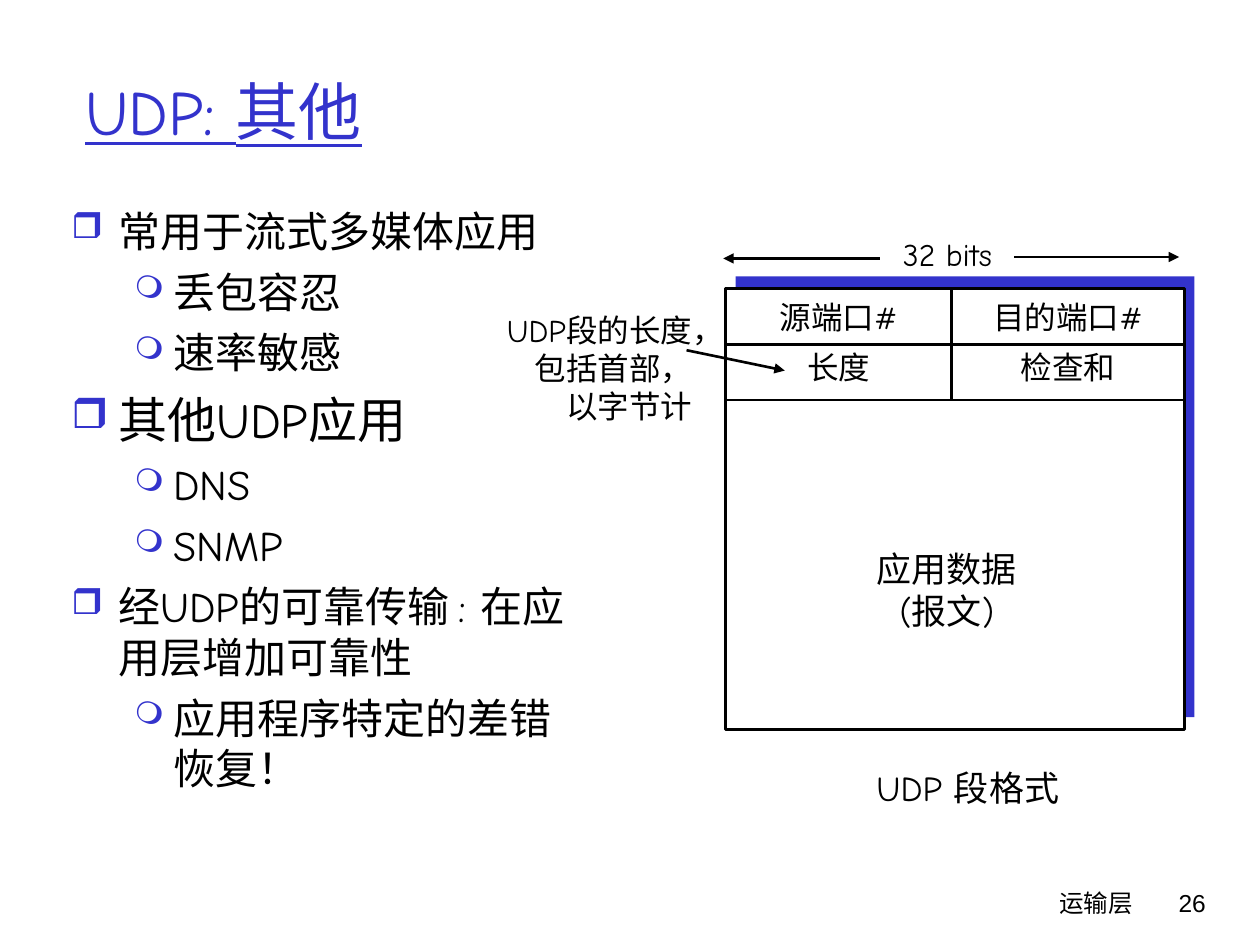
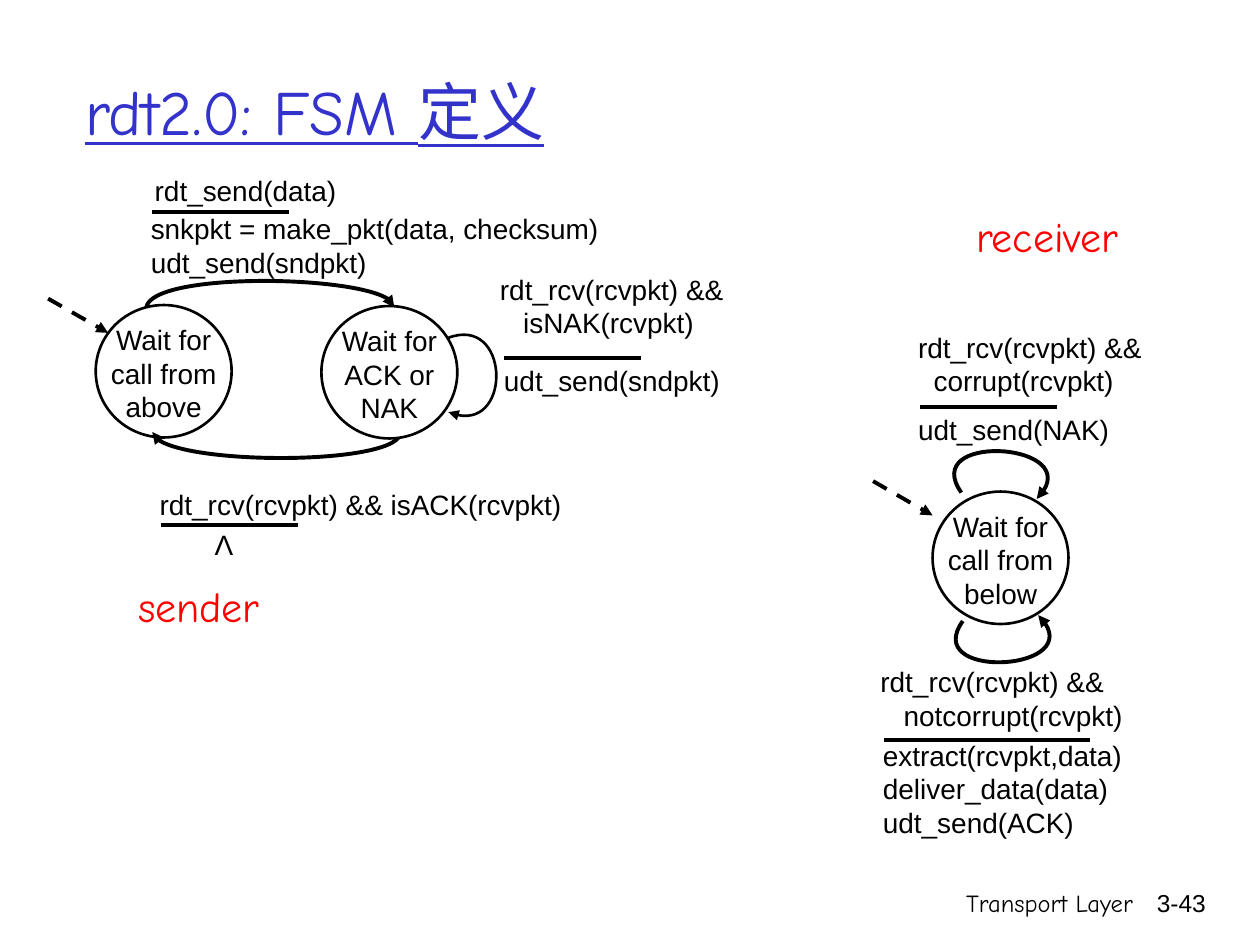
from lxml.etree import SubElement
from pptx import Presentation
from pptx.dml.color import RGBColor
from pptx.enum.dml import MSO_LINE
from pptx.enum.shapes import MSO_CONNECTOR, MSO_SHAPE
from pptx.enum.text import MSO_ANCHOR, PP_ALIGN
from pptx.oxml.ns import qn
from pptx.util import Cm, Pt

COLORS = {"accent": "3333CC", "ink": "000000", "paper": "FFFFFF", "role": "FF0000"}
HAND, SANS = "Comic Neue", "Arial"

UDP = {"title": "UDP: 其他", "footer": "运输层", "number": "26"}
RDT = {"title": "rdt2.0: FSM 定义", "footer": "Transport Layer", "number": "3-43"}

UDP_POINTS = [
    (0, 24, "常用于流式多媒体应用"),
    (1, 24, "丢包容忍"),
    (1, 24, "速率敏感"),
    (0, 28, "其他UDP应用"),
    (1, 24, "DNS"),
    (1, 24, "SNMP"),
    (0, 24, "经UDP的可靠传输 : 在应用层增加可靠性"),
    (1, 24, "应用程序特定的差错恢复！"),
]
BULLETS = [("❒", 85, 0.95, 0.95), ("❍", 75, 2.06, 0.79)]

SEGMENT = {"left": 14.63, "top": 5.82, "width": 9.25, "height": 8.89}
SEGMENT_ROW = 1.12
SEGMENT_SPLIT = 19.18
HEADER_FIELDS = [(5.89, ["源端口#", "目的端口#"]), (6.9, ["长度", "检查和"])]
SEGMENT_LABELS = [
    (["32 bits"], (17.5, 4.62, 3.2, 1.02), 18, PP_ALIGN.CENTER),
    (["应用数据", "(报文)"], (16.59, 10.92, 5, 1.96), 20, PP_ALIGN.CENTER),
    (["UDP 段格式"], (16.51, 15.32, 6, 1.12), 20, PP_ALIGN.CENTER),
    (["UDP段的长度，包括首部，以字节计"], (9.96, 6.15, 4.24, 3.3), 18, PP_ALIGN.RIGHT),
]
SEGMENT_ARROWS = [
    ((20.45, 5.18), (23.77, 5.18)),
    ((17.73, 5.21), (14.58, 5.21)),
    ((13.84, 7.06), (15.82, 7.47)),
]

STATE_WIDTH, STATE_HEIGHT, STATE_TEXT_WIDTH = 2.74, 2.67, 3
STATES = [
    ("Wait for call from above", 1.93, 6.15),
    ("Wait for ACK or NAK", 6.48, 6.17),
    ("Wait for call from below", 18.8, 9.91),
]
STATE_CHANGES = [
    (2.25, [(2.95, 6.2), (3.05, 5.49), (7.95, 5.54), (7.95, 6.2)]),
    (2.25, [(8.08, 8.71), (8.08, 9.37), (3.18, 9.4), (3.07, 8.71)]),
    (1.5, [(9.04, 6.81), (10.26, 6.35), (10.34, 8.84), (9.04, 8.31)]),
    (2.25, [(19.38, 9.93), (18.54, 8.74), (22.02, 8.92), (20.9, 10.06)]),
    (2.25, [(19.41, 12.52), (18.57, 13.69), (22.07, 13.54), (20.93, 12.4)]),
]
INITIAL_ARROWS = [((0.97, 6.02), (2.18, 6.71)), ((17.6, 9.7), (18.8, 10.39))]
TRANSITIONS = [
    {"event": ["rdt_send(data)"], "event_at": (2.87, 3.38),
     "bar": (3.07, 4.27, 2.76), "width": 10.1,
     "action": ["snkpkt = make_pkt(data, checksum)", "udt_send(sndpkt)"],
     "action_at": (2.79, 4.14)},
    {"event": ["rdt_rcv(rcvpkt) &&", "   isNAK(rcvpkt)"], "event_at": (9.83, 5.36),
     "bar": (10.16, 7.21, 2.76), "width": 6,
     "action": ["udt_send(sndpkt)"], "action_at": (9.91, 7.21)},
    {"event": ["rdt_rcv(rcvpkt) && isACK(rcvpkt)"], "event_at": (2.97, 9.7),
     "bar": (3.25, 10.59, 2.76), "width": 10.1,
     "action": ["Λ"], "action_at": (4.08, 10.52)},
    {"event": ["rdt_rcv(rcvpkt) &&", "  corrupt(rcvpkt)"], "event_at": (18.26, 6.53),
     "bar": (18.54, 8.2, 2.76), "width": 6,
     "action": ["udt_send(NAK)"], "action_at": (18.26, 8.2)},
    {"event": ["rdt_rcv(rcvpkt) &&", "   notcorrupt(rcvpkt)"], "event_at": (17.5, 13.28),
     "bar": (17.83, 14.91, 4.14), "width": 6,
     "action": ["extract(rcvpkt,data)", "deliver_data(data)", "udt_send(ACK)"],
     "action_at": (17.55, 14.76)},
]
ROLES = [("sender", (2.01, 11.58, 4, 1.27)), ("receiver", (19.11, 4.11, 4, 1.27))]


def rgb(name):
    return RGBColor.from_string(COLORS[name])


def add_text(slide, lines, box, size=16, font=SANS, color="ink",
             align=PP_ALIGN.LEFT, anchor=MSO_ANCHOR.TOP, underline=False):
    frame = slide.shapes.add_textbox(*map(Cm, box)).text_frame
    frame.word_wrap = True
    frame.vertical_anchor = anchor
    for index, line in enumerate(lines):
        paragraph = frame.paragraphs[0] if index == 0 else frame.add_paragraph()
        paragraph.alignment = align
        run = paragraph.add_run()
        run.text = line
        run.font.size = Pt(size)
        run.font.name = font
        run.font.color.rgb = rgb(color)
        run.font.underline = underline
    return frame


def add_shape(slide, preset, box, fill, outline=None):
    shape = slide.shapes.add_shape(preset, *map(Cm, box))
    shape.shadow.inherit = False
    shape.fill.solid()
    shape.fill.fore_color.rgb = rgb(fill)
    if outline:
        shape.line.color.rgb = rgb(outline)
        shape.line.width = Pt(1.5)
    else:
        shape.line.fill.background()


def style_stroke(stroke, width, arrow, dashed=False):
    stroke.line.color.rgb = rgb("ink")
    stroke.line.width = Pt(width)
    if dashed:
        stroke.line.dash_style = MSO_LINE.DASH
    properties = stroke._element.spPr
    if arrow:
        SubElement(properties.find(qn("a:ln")), qn("a:tailEnd"), type="triangle")
    SubElement(properties, qn("a:effectLst"))


def add_line(slide, start, end, width=1.5, arrow=False, dashed=False):
    line = slide.shapes.add_connector(MSO_CONNECTOR.STRAIGHT, *map(Cm, start + end))
    style_stroke(line, width, arrow, dashed)


def add_curve(slide, points, width):
    start, *rest = [(Cm(x), Cm(y)) for x, y in points]
    builder = slide.shapes.build_freeform(*start)
    builder.add_line_segments(rest, close=False)
    curve = builder.convert_to_shape()
    curve.fill.background()
    segments = list(curve._element.iter(qn("a:lnTo")))
    outline = segments[0].getparent()
    bezier = SubElement(outline, qn("a:cubicBezTo"))
    for segment in segments:
        bezier.append(segment[0])
        outline.remove(segment)
    style_stroke(curve, width, arrow=True)


def add_slide(deck, content):
    slide = deck.slides.add_slide(deck.slide_layouts[6])
    add_text(slide, [content["title"]], (1.47, 0.64, 21.59, 3.18), size=36, font=HAND,
             color="accent", anchor=MSO_ANCHOR.MIDDLE, underline=True)
    add_text(slide, [content["footer"]], (15.04, 17.78, 8.05, 1.27), size=14, font=HAND,
             align=PP_ALIGN.RIGHT)
    add_text(slide, [content["number"]], (22.68, 17.78, 1.88, 1.27), size=14,
             align=PP_ALIGN.RIGHT)
    return slide


def add_points(slide, points, box):
    frame = add_text(slide, [text for _, _, text in points], box, font=HAND)
    for index, (level, size, _) in enumerate(points):
        paragraph = frame.paragraphs[index]
        mark, percent, margin, hanging = BULLETS[level]
        properties = paragraph._p.get_or_add_pPr()
        properties.set("marL", str(Cm(margin)))
        properties.set("indent", str(-Cm(hanging)))
        bullet_color = SubElement(properties, qn("a:buClr"))
        SubElement(bullet_color, qn("a:srgbClr"), val=COLORS["accent"])
        SubElement(properties, qn("a:buSzPct"), val=str(percent * 1000))
        SubElement(properties, qn("a:buChar"), char=mark)
        paragraph.level = level
        paragraph.space_before = Pt(size // 4 if index else 0)
        paragraph.runs[0].font.size = Pt(size)


def add_segment(slide):
    left, top, width, height = SEGMENT.values()
    right = left + width
    add_shape(slide, MSO_SHAPE.RECTANGLE, (left + 0.2, top - 0.25, width, height), "accent")
    add_shape(slide, MSO_SHAPE.RECTANGLE, (left, top, width, height), "paper", "ink")
    for row in (1, 2):
        y = top + row * SEGMENT_ROW
        add_line(slide, (left, y), (right, y))
    add_line(slide, (SEGMENT_SPLIT, top), (SEGMENT_SPLIT, top + 2 * SEGMENT_ROW))
    columns = [(left, SEGMENT_SPLIT), (SEGMENT_SPLIT, right)]
    for field_top, names in HEADER_FIELDS:
        for name, (start, end) in zip(names, columns):
            add_text(slide, [name], (start, field_top, end - start, 1.02), size=18,
                     font=HAND, align=PP_ALIGN.CENTER)
    for lines, box, size, align in SEGMENT_LABELS:
        add_text(slide, lines, box, size=size, font=HAND, align=align)
    for start, end in SEGMENT_ARROWS:
        add_line(slide, start, end, arrow=True)


def add_state(slide, label, left, top):
    add_shape(slide, MSO_SHAPE.OVAL, (left, top, STATE_WIDTH, STATE_HEIGHT), "paper", "ink")
    text_left = left + (STATE_WIDTH - STATE_TEXT_WIDTH) / 2
    add_text(slide, [label], (text_left, top + 0.23, STATE_TEXT_WIDTH, 2.2),
             align=PP_ALIGN.CENTER)


def add_transition(slide, transition):
    for part in ("event", "action"):
        lines = transition[part]
        box = (*transition[part + "_at"], transition["width"], 0.25 + 0.69 * len(lines))
        add_text(slide, lines, box)
    x, y, length = transition["bar"]
    add_line(slide, (x, y), (x + length, y), width=2.25)


def main():
    deck = Presentation()
    deck.slide_width, deck.slide_height = Cm(25.4), Cm(19.05)

    udp = add_slide(deck, UDP)
    add_points(udp, UDP_POINTS, (1.19, 4.01, 10.59, 12.9))
    add_segment(udp)

    rdt = add_slide(deck, RDT)
    add_state(rdt, *STATES[0])
    for width, points in STATE_CHANGES:
        add_curve(rdt, points, width)
    for state in STATES[1:]:
        add_state(rdt, *state)
    for start, end in INITIAL_ARROWS:
        add_line(rdt, start, end, width=2.25, arrow=True, dashed=True)
    for transition in TRANSITIONS:
        add_transition(rdt, transition)
    for role, box in ROLES:
        add_text(rdt, [role], box, size=24, font=HAND, color="role", align=PP_ALIGN.CENTER)

    deck.save("out.pptx")


if __name__ == "__main__":
    main()
